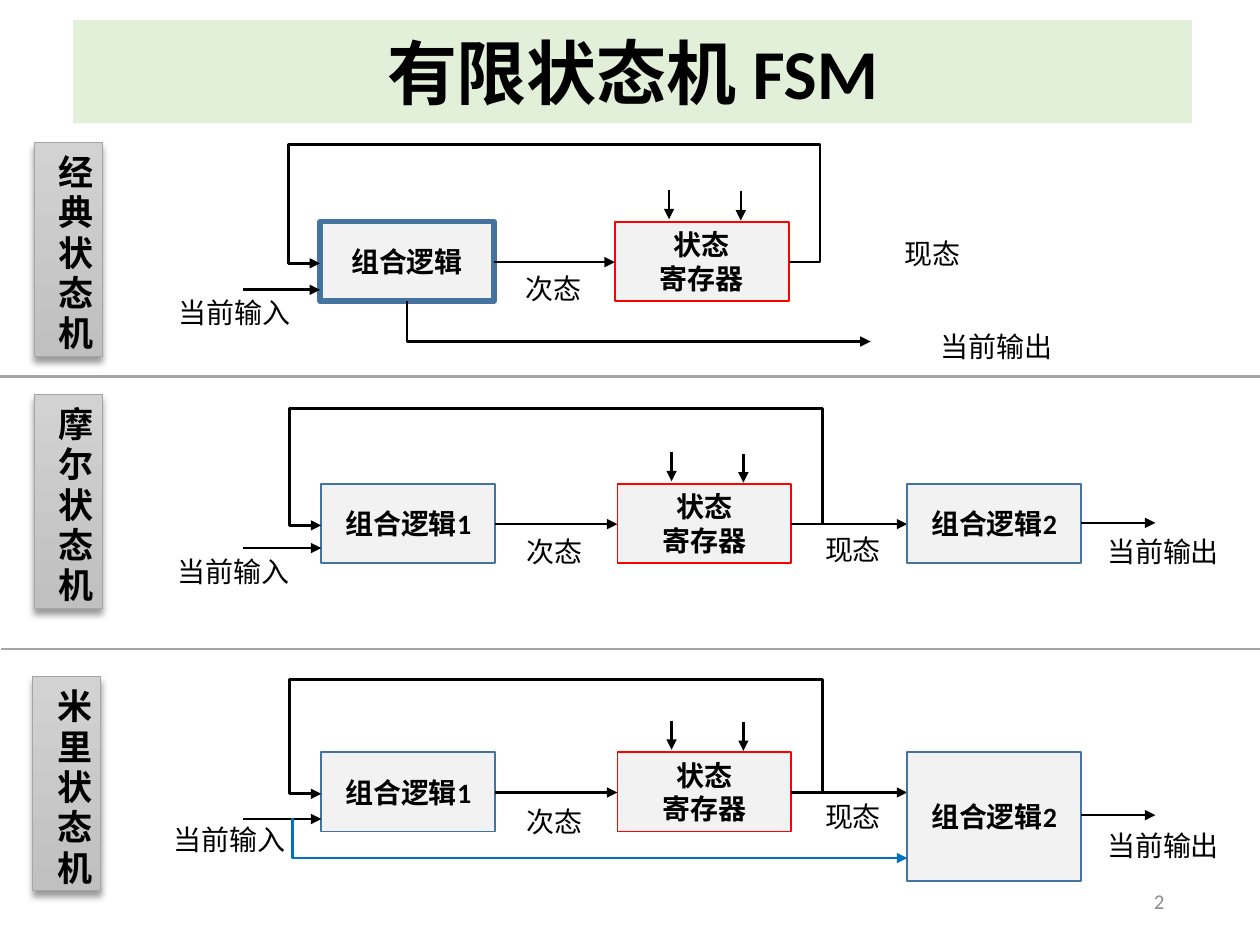
from lxml import etree
from pptx import Presentation
from pptx.dml.color import RGBColor
from pptx.enum import shapes, text
from pptx.oxml import parse_xml
from pptx.oxml.ns import nsdecls, qn
from pptx.util import Inches, Pt

BLACK, GRAY, BLUE, RED = "000000", "A5A5A5", "43739E", "FF0000"
BOX_WIDTH, BOX_HEIGHT = 1.38, 0.63
INPUT_X = 1.93
OUTPUT_LOGIC_X = 7.2


def color(value):
    return RGBColor.from_string(value)


def inches(*values):
    return [Inches(value) for value in values]


def write(shape, content, size=16, bold=False, font_color=BLACK, align=text.PP_ALIGN.CENTER):
    shape.text_frame.text = content
    for paragraph in shape.text_frame.paragraphs:
        paragraph.alignment = align
        for run in paragraph.runs:
            run.font.name = "Calibri"
            run.font.size = Pt(size)
            run.font.bold = bold
            run.font.color.rgb = color(font_color)


def add_rectangle(group, left, top, width, height, line_color, line_width):
    shape = group.shapes.add_shape(
        shapes.MSO_SHAPE.RECTANGLE, *inches(left, top, width, height))
    shape.shadow.inherit = False
    shape.line.color.rgb = color(line_color)
    shape.line.width = Pt(line_width)
    return shape


def add_block(group, label, left, top, height=BOX_HEIGHT, line_color=BLUE, line_width=1):
    block = add_rectangle(group, left, top, BOX_WIDTH, height, line_color, line_width)
    block.fill.solid()
    block.fill.fore_color.rgb = color("F2F2F2")
    block.text_frame.vertical_anchor = text.MSO_ANCHOR.MIDDLE
    write(block, label, bold=True)


def add_tag(group, name, left, top):
    """Add the gray tag with vertical text that names a machine."""
    tag = add_rectangle(group, left, top, 0.54, 1.7, GRAY, 0.5)
    tag.fill.gradient()
    tag.fill.gradient_angle = 270
    for stop, shade in zip(tag.fill.gradient_stops, ("D2D2D2", "C0C0C0")):
        stop.color.rgb = color(shade)
    tag._element.spPr.find(qn("a:effectLst")).append(parse_xml(
        f'<a:outerShdw {nsdecls("a")} blurRad="{Pt(4)}" dist="{Pt(3)}" dir="5400000" '
        'algn="ctr" rotWithShape="0"><a:srgbClr val="000000"><a:alpha val="40000"/>'
        '</a:srgbClr></a:outerShdw>'))
    write(tag, name, size=20, bold=True, align=text.PP_ALIGN.LEFT)
    frame = tag.text_frame
    frame.word_wrap = False
    frame.auto_size = text.MSO_AUTO_SIZE.SHAPE_TO_FIT_TEXT
    frame.vertical_anchor = text.MSO_ANCHOR.TOP
    frame._txBody.bodyPr.set("vert", "eaVert")
    frame.paragraphs[0].runs[0].font._element.set("spc", "300")


def add_label(group, content, left, top):
    width = 0.65 if len(content) == 2 else 1.1
    label = group.shapes.add_textbox(*inches(left, top, width, 0.37))
    label.text_frame.word_wrap = False
    label.text_frame.auto_size = text.MSO_AUTO_SIZE.SHAPE_TO_FIT_TEXT
    write(label, content, align=text.PP_ALIGN.LEFT)


def add_line(group, start, end, line_color=BLACK, arrow=True, kind=shapes.MSO_CONNECTOR.STRAIGHT):
    line = group.shapes.add_connector(kind, *inches(*start, *end))
    line.line.color.rgb = color(line_color)
    line.line.width = Pt(1.5)
    properties = line._element.spPr
    if arrow:
        etree.SubElement(properties.find(qn("a:ln")), qn("a:tailEnd"), type="triangle")
    etree.SubElement(properties, qn("a:effectLst"))
    return line


def add_elbow(group, start, end, bends, line_color=BLACK):
    """Add a bent arrow; bends are fractions of the way, across and down in turn."""
    elbow = add_line(group, start, end, line_color, kind=shapes.MSO_CONNECTOR.ELBOW)
    geometry = elbow._element.spPr.find(qn("a:prstGeom"))
    geometry.set("prst", f"bentConnector{len(bends) + 2}")
    guides = geometry.find(qn("a:avLst"))
    for number, bend in enumerate(bends, 1):
        etree.SubElement(guides, qn("a:gd"), name=f"adj{number}",
                         fmla=f"val {round(bend * 100000)}")


def add_feedback(group, start, end, loop_y):
    """Lead the present state from the register over the top to the logic."""
    (start_x, start_y), (end_x, end_y) = start, end
    overhang = 0.25 / (start_x - end_x)
    add_elbow(group, start, end,
              [-overhang, (loop_y - start_y) / (end_y - start_y), 1 + overhang])


def add_core(group, logic, logic_x, register_x, top, input_y, loop_y, logic_line=1):
    """Add logic, register and the arrows that every machine has."""
    middle = top + 0.32
    add_block(group, logic, logic_x, top, line_width=logic_line)
    add_block(group, "状态\n寄存器", register_x, top, line_color=RED)
    add_line(group, (INPUT_X, input_y), (logic_x, input_y))
    add_line(group, (logic_x + BOX_WIDTH, middle), (register_x, middle))
    for offset, drop in ((0.43, 0), (1, 0.01)):
        x, y = register_x + offset, top + drop
        add_line(group, (x, y - 0.25), (x, y - 0.02))
    add_feedback(group, (register_x + BOX_WIDTH, middle), (logic_x, middle + 0.01), loop_y)


def add_output_stage(group, register_x, top, height, output_y):
    middle = top + 0.32
    add_line(group, (register_x + BOX_WIDTH, middle), (OUTPUT_LOGIC_X, middle))
    add_block(group, "组合逻辑2", OUTPUT_LOGIC_X, top, height)
    add_line(group, (OUTPUT_LOGIC_X + BOX_WIDTH, output_y), (9.17, output_y))


def add_labels(group, input_at, next_at, present_at, output_at):
    positions = (input_at, next_at, present_at, output_at)
    for content, position in zip(("当前输入", "次态", "现态", "当前输出"), positions):
        add_label(group, content, *position)


def add_classic_machine(slide):
    group = slide.shapes.add_group_shape()
    add_core(group, "组合逻辑", 2.54, 4.88, 1.76, 2.3, 1.13, logic_line=3)
    add_elbow(group, (3.23, 2.39), (6.91, 2.71), [0])
    add_labels(group, (1.32, 2.3), (4.07, 2.11), (7.08, 1.83), (7.37, 2.57))
    add_tag(group, "经典状态机", 0.27, 1.13)


def add_moore_machine(slide):
    group = slide.shapes.add_group_shape()
    add_line(group, (0, 2.99), (10, 2.99), GRAY, arrow=False)
    add_core(group, "组合逻辑1", 2.55, 4.9, 3.84, 4.35, 3.23)
    add_output_stage(group, 4.9, 3.84, BOX_HEIGHT, 4.15)
    add_labels(group, (1.31, 4.35), (4.08, 4.19), (6.45, 4.18), (8.69, 4.19))
    add_tag(group, "摩尔状态机", 0.27, 3.13)


def add_mealy_machine(slide):
    group = slide.shapes.add_group_shape()
    add_line(group, (0.01, 5.15), (10, 5.15), GRAY, arrow=False)
    add_core(group, "组合逻辑1", 2.55, 4.9, 5.97, 6.5, 5.38)
    add_output_stage(group, 4.9, 5.97, 1.02, 6.47)
    add_elbow(group, (2.32, 6.49), (OUTPUT_LOGIC_X, 6.81), [0], "0070C0")
    add_labels(group, (1.28, 6.48), (4.08, 6.34), (6.45, 6.3), (8.69, 6.53))
    add_tag(group, "米里状态机", 0.26, 5.37)


def add_title(slide):
    title = slide.shapes.title
    title.left, title.top, title.width, title.height = inches(0.58, 0.16, 8.88, 0.82)
    title.fill.solid()
    title.fill.fore_color.rgb = color("E2F0D9")
    title.text_frame.auto_size = text.MSO_AUTO_SIZE.NONE
    title.text_frame.vertical_anchor = text.MSO_ANCHOR.MIDDLE
    write(title, "有限状态机 FSM", size=40, bold=True)


def add_page_number(slide):
    number = slide.shapes.add_textbox(*inches(7.09, 6.95, 2.25, 0.4))
    number.text_frame.word_wrap = True
    number.text_frame.vertical_anchor = text.MSO_ANCHOR.MIDDLE
    write(number, "2", size=12, font_color="8C8C8C", align=text.PP_ALIGN.RIGHT)


def main():
    presentation = Presentation()
    presentation.slide_width, presentation.slide_height = inches(10, 7.5)
    slide = presentation.slides.add_slide(presentation.slide_layouts.get_by_name("Title Only"))
    add_title(slide)
    add_page_number(slide)
    add_classic_machine(slide)
    add_moore_machine(slide)
    add_mealy_machine(slide)
    presentation.save("out.pptx")


if __name__ == "__main__":
    main()
